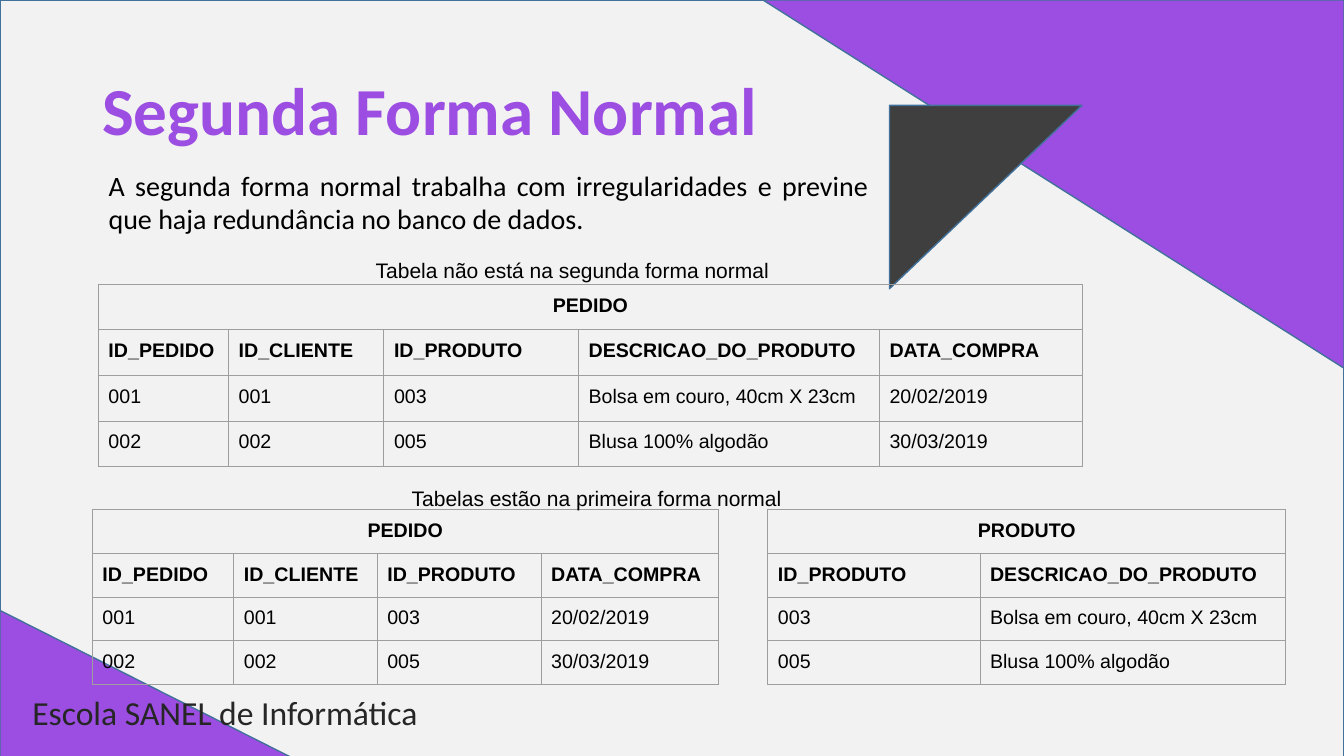
from lxml import etree
from pptx import Presentation
from pptx.dml.color import RGBColor
from pptx.enum.shapes import MSO_SHAPE
from pptx.enum.text import MSO_ANCHOR, PP_ALIGN
from pptx.oxml.ns import qn
from pptx.util import Pt

RECTANGLE, TRIANGLE = MSO_SHAPE.RECTANGLE, MSO_SHAPE.RIGHT_TRIANGLE
TOP, MIDDLE = MSO_ANCHOR.TOP, MSO_ANCHOR.MIDDLE
LEFT, CENTER, JUSTIFY = PP_ALIGN.LEFT, PP_ALIGN.CENTER, PP_ALIGN.JUSTIFY
PURPLE, BLACK, OUTLINE, GRID = "9C4EE2", "000000", "42719B", "9E9E9E"
INSET = Pt(7.2)

CAPTION_FORMAT = {"name": "Arial", "size": Pt(15)}
CELL_FORMAT = {"name": "Arial", "size": Pt(14), "bold": False}
HEADER_FORMAT = {**CELL_FORMAT, "bold": True}

ORDERS = [
    ["ID_PEDIDO", "ID_CLIENTE", "ID_PRODUTO", "DESCRICAO_DO_PRODUTO", "DATA_COMPRA"],
    ["001", "001", "003", "Bolsa em couro, 40cm X 23cm", "20/02/2019"],
    ["002", "002", "005", "Blusa 100% algodão", "30/03/2019"],
]


def color(hex_string):
    """Turn a hex string into a colour."""
    return RGBColor.from_string(hex_string)


def set_attributes(target, values):
    """Set each attribute named in the dict of values."""
    for name, value in values.items():
        setattr(target, name, value)


def write_text(paragraph, text, font_format, font_color=BLACK, alignment=LEFT):
    """Write one formatted run into a paragraph."""
    paragraph.alignment = alignment
    run = paragraph.add_run()
    run.text = text
    set_attributes(run.font, font_format)
    run.font.color.rgb = color(font_color)


def add_panel(slide, kind, box, fill, rotation=0):
    """Add a filled and outlined shape in the given box."""
    shape = slide.shapes.add_shape(kind, *map(Pt, box))
    shape.rotation = rotation
    shape.shadow.inherit = False
    shape.fill.solid()
    shape.fill.fore_color.rgb = color(fill)
    shape.line.color.rgb = color(OUTLINE)
    shape.line.width = Pt(1)


def add_text(slide, box, text, font_format, font_color=BLACK, alignment=LEFT,
             vertical_inset=INSET, anchor=TOP):
    """Add a wrapped text box and return its paragraph."""
    frame = slide.shapes.add_textbox(*map(Pt, box)).text_frame
    set_attributes(frame, {
        "word_wrap": True, "vertical_anchor": anchor,
        "margin_left": INSET, "margin_right": INSET,
        "margin_top": vertical_inset, "margin_bottom": vertical_inset,
    })
    write_text(frame.paragraphs[0], text, font_format, font_color, alignment)
    return frame.paragraphs[0]


def add_background(slide, width, height):
    """Draw the grey ground and the corner triangles."""
    add_panel(slide, RECTANGLE, (0, 0, width, height), "F2F2F2")
    add_panel(slide, TRIANGLE, (0, height - 109, 216, 109), PURPLE)
    add_panel(slide, TRIANGLE, (width - 415, 0, 415, 263), PURPLE, 180)
    add_panel(slide, TRIANGLE, (638.6, 72, 131, 137.5), "3F3F3F", 90)


def add_borders(cell):
    """Draw thin grey lines on the four sides of a cell."""
    properties = cell._tc.get_or_add_tcPr()
    for side in ("a:lnL", "a:lnR", "a:lnT", "a:lnB"):
        line = etree.SubElement(properties, qn(side), w=str(Pt(0.75)))
        fill = etree.SubElement(line, qn("a:solidFill"))
        etree.SubElement(fill, qn("a:srgbClr"), val=GRID)


def add_data_table(slide, left, top, widths, row_height, title, records):
    """Add a table with a merged title row above its header and records."""
    rows = [[title] + [""] * (len(widths) - 1)] + records
    frame = slide.shapes.add_table(
        len(rows), len(widths), Pt(left), Pt(top),
        Pt(sum(widths)), Pt(row_height * len(rows)))
    table = frame.table
    set_attributes(table, {"first_row": False, "horz_banding": False})
    for column, width in zip(table.columns, widths):
        column.width = Pt(width)
    for row_index, values in enumerate(rows):
        table.rows[row_index].height = Pt(row_height)
        for column_index, value in enumerate(values):
            cell = table.cell(row_index, column_index)
            for side in ("left", "right", "top", "bottom"):
                setattr(cell, f"margin_{side}", INSET)
            add_borders(cell)
            cell.fill.background()
            if value:
                write_text(cell.text_frame.paragraphs[0], value,
                           HEADER_FORMAT if row_index < 2 else CELL_FORMAT,
                           alignment=LEFT if row_index else CENTER)
    table.cell(0, 0).merge(table.cell(0, len(widths) - 1))


def add_heading(slide, left, top):
    """Add the slide title and its explanation."""
    title = add_text(
        slide, (left, top, 828, 104), "Segunda Forma Normal",
        {"name": "Calibri", "size": Pt(48), "bold": True}, PURPLE,
        vertical_inset=Pt(3.6), anchor=MIDDLE)
    title.line_spacing = 0.9
    add_text(
        slide, (left + 4.5, top + 84, 557, 60),
        "A segunda forma normal trabalha com irregularidades e previne "
        "que haja redundância no banco de dados.",
        {"name": "Calibri", "size": Pt(20)}, alignment=JUSTIFY)


def add_unsplit_orders(slide, left, top):
    """Add the table that breaks the second normal form."""
    add_data_table(slide, left, top, [93, 111, 139, 215, 145], 32.6, "PEDIDO", ORDERS)
    add_text(slide, (left + 191, top - 26.6, 335, 37),
             "Tabela não está na segunda forma normal", CAPTION_FORMAT)


def add_split_orders(slide, left, top):
    """Add the order and product tables side by side."""
    orders = [row[:3] + row[4:] for row in ORDERS]
    products = [row[2:4] for row in ORDERS]
    add_data_table(slide, left, top, [101, 102.5, 117, 126.5], 30.9, "PEDIDO", orders)
    add_data_table(slide, left + 482.5, top, [151.5, 218.5], 30, "PRODUTO", products)
    add_text(slide, (left + 221, top - 24.5, 293, 37),
             "Tabelas estão na primeira forma normal", CAPTION_FORMAT)


def main():
    """Build the slide and save it."""
    presentation = Presentation()
    set_attributes(presentation, {"slide_width": Pt(960), "slide_height": Pt(540)})
    slide = presentation.slides.add_slide(presentation.slide_layouts[6])
    add_background(slide, 960, 545)
    add_text(slide, (16, 490.5, 330, 36), "Escola SANEL de Informática",
             {"name": "Calibri", "size": Pt(24)}, "262626", vertical_inset=Pt(3.6))
    add_heading(slide, 66, 29)
    add_unsplit_orders(slide, 70.3, 203)
    add_split_orders(slide, 66, 364)
    presentation.save("out.pptx")


if __name__ == "__main__":
    main()
